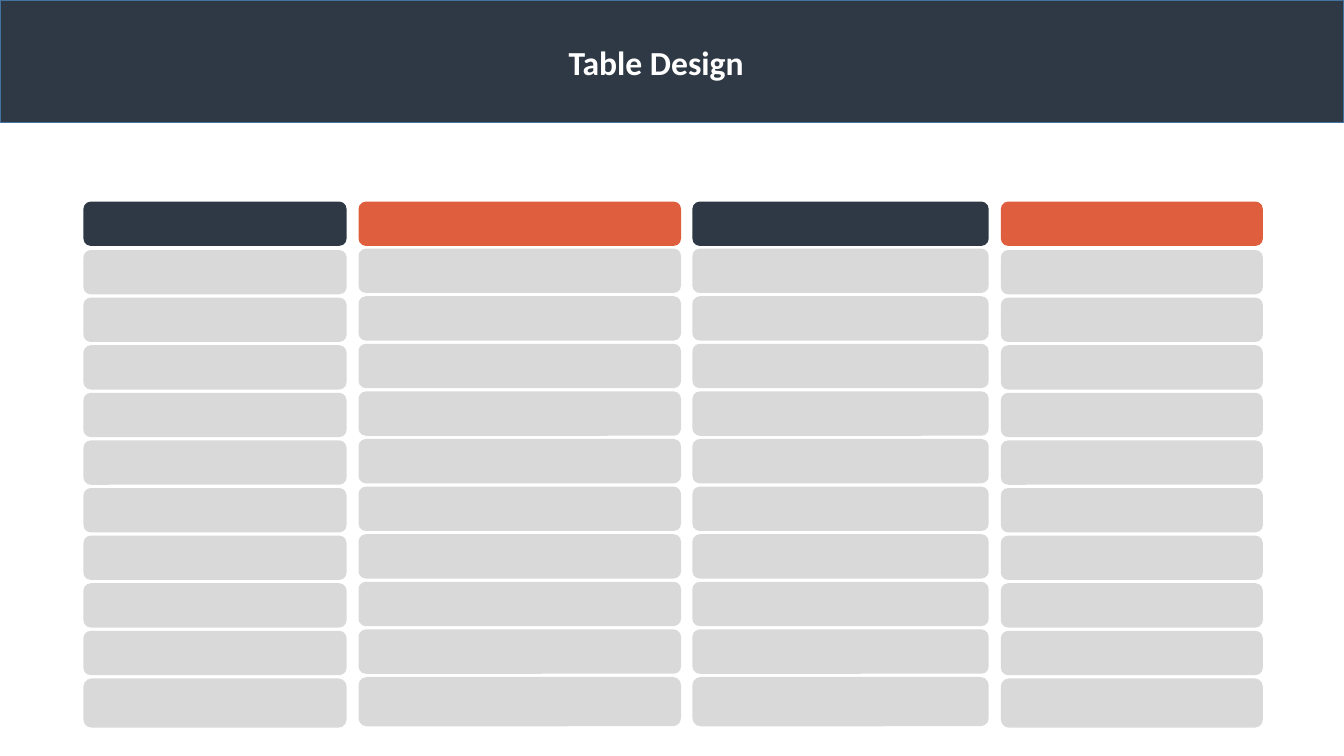
import pptx
import pptx.dml.color
import pptx.enum.shapes
import pptx.enum.text
import pptx.util

Pt = pptx.util.Pt
RGBColor = pptx.dml.color.RGBColor
MSO_SHAPE = pptx.enum.shapes.MSO_SHAPE

NAVY = RGBColor(0x2F, 0x39, 0x45)
ORANGE = RGBColor(0xDF, 0x5E, 0x3E)
GREY = RGBColor(0xD9, 0xD9, 0xD9)
BLUE = RGBColor(0x43, 0x73, 0x9E)
WHITE = RGBColor(0xFF, 0xFF, 0xFF)

SLIDE_WIDTH, SLIDE_HEIGHT = 960, 540
COLUMNS = [
    (0, 188, NAVY, 0),
    (196.5, 230.4, ORANGE, -1),
    (435, 211.7, NAVY, -1),
    (655.3, 187.2, ORANGE, 0),
]
BODY_ROWS = 10
ROW_PITCH = 34
CELL_HEIGHT = 31.7
LAST_CELL_HEIGHT = 35.2


def add_block(slide, kind, left, top, width, height, color):
    """Add a flat filled shape without an outline and return it."""
    block = slide.shapes.add_shape(kind, Pt(left), Pt(top), Pt(width), Pt(height))
    block.shadow.inherit = False
    block.fill.solid()
    block.fill.fore_color.rgb = color
    block.line.fill.background()
    return block


def add_grid(slide, left, top):
    """Place the header cells and the body cells from the given corner."""
    for offset, width, header_color, shift in COLUMNS:
        column_left = left + offset
        add_block(slide, MSO_SHAPE.ROUNDED_RECTANGLE,
                  column_left, top, width, CELL_HEIGHT, header_color)
        for row in range(BODY_ROWS):
            height = LAST_CELL_HEIGHT if row == BODY_ROWS - 1 else CELL_HEIGHT
            cell_top = top + 34.6 + shift + row * ROW_PITCH
            add_block(slide, MSO_SHAPE.ROUNDED_RECTANGLE,
                      column_left, cell_top, width, height, GREY)


def add_banner(slide, left, top, width, height):
    """Draw the title band and lay the slide title over it."""
    banner = add_block(slide, MSO_SHAPE.RECTANGLE, left, top, width, height, NAVY)
    banner.line.color.rgb = BLUE
    banner.line.width = Pt(1)

    title = slide.shapes.title
    title.left, title.top = Pt(left + 398.9), Pt(top + 26.6)
    title.width, title.height = Pt(141.1), Pt(36.4)
    frame = title.text_frame
    frame.text = "Table Design"
    frame.word_wrap = False
    frame.auto_size = pptx.enum.text.MSO_AUTO_SIZE.SHAPE_TO_FIT_TEXT
    frame.vertical_anchor = pptx.enum.text.MSO_ANCHOR.TOP
    heading = frame.paragraphs[0]
    heading.alignment = pptx.enum.text.PP_ALIGN.LEFT
    heading.line_spacing = 1.0
    heading.space_before = Pt(0)
    heading.font.name = "Calibri"
    heading.font.size = Pt(24)
    heading.font.bold = True
    heading.font.color.rgb = WHITE
    banner._element.addnext(title._element)


def main():
    """Build the slide and save it."""
    deck = pptx.Presentation()
    deck.slide_width, deck.slide_height = Pt(SLIDE_WIDTH), Pt(SLIDE_HEIGHT)
    slide = deck.slides.add_slide(deck.slide_layouts.get_by_name("Title Only"))
    add_grid(slide, 59.6, 144)
    add_banner(slide, 0, 0, SLIDE_WIDTH, 87.4)
    deck.save("out.pptx")


if __name__ == "__main__":
    main()
